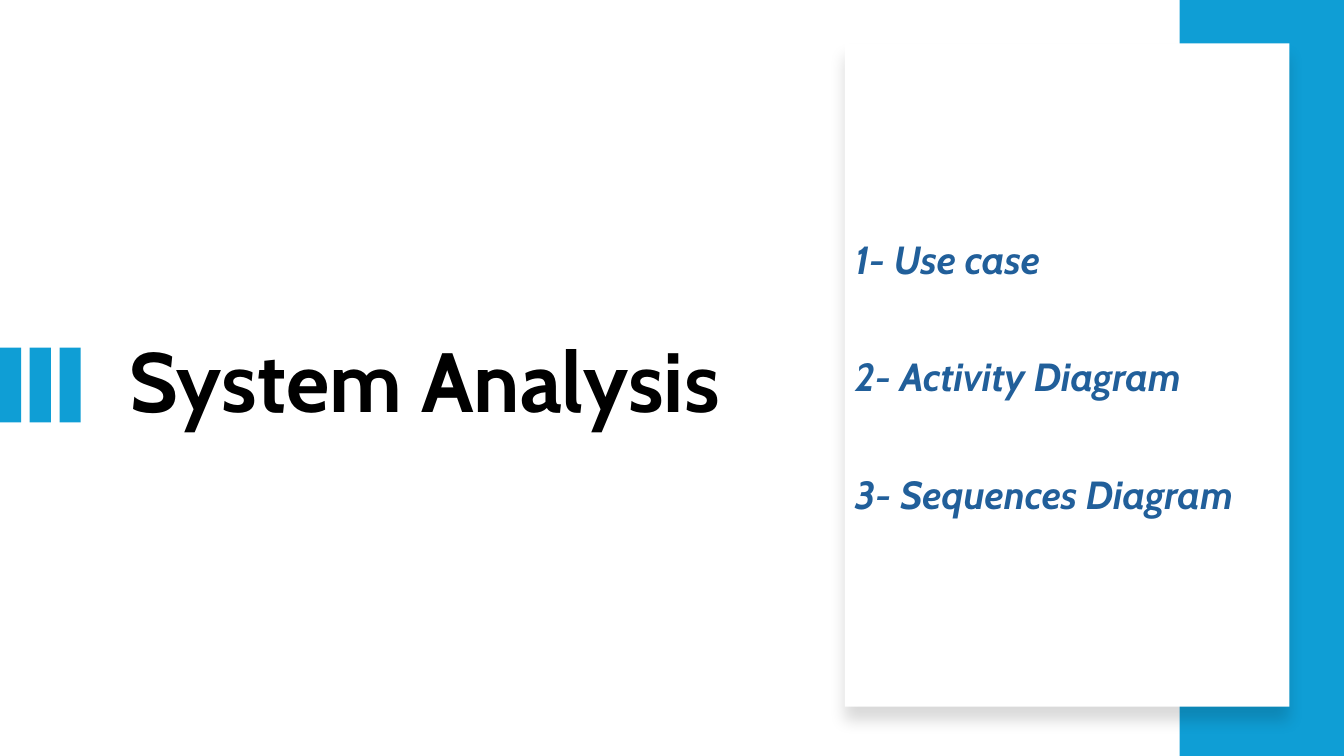
"""Build the System Analysis section slide."""
from lxml.etree import SubElement
from pptx import Presentation
from pptx.dml.color import RGBColor
from pptx.enum.shapes import MSO_SHAPE
from pptx.enum.text import MSO_ANCHOR, PP_ALIGN
from pptx.oxml.ns import qn
from pptx.util import Inches, Pt

TITLE = "System Analysis"
TOPICS = ["1- Use case", "2- Activity Diagram", "3- Sequences Diagram"]

BLUE = RGBColor(0x0F, 0x9E, 0xD5)
NAVY = RGBColor(0x21, 0x5F, 0x9A)
BLACK = RGBColor(0, 0, 0)
WHITE = RGBColor(255, 255, 255)
FONT = "Cabin"

SLIDE_WIDTH, SLIDE_HEIGHT = 13.33, 7.5
STRIPE_COUNT, STRIPE_PITCH = 3, 0.295
STRIPE_TOP, STRIPE_WIDTH, STRIPE_HEIGHT = 3.45, 0.21, 0.74
BAND_WIDTH = 1.63
CARD_LEFT, CARD_TOP, CARD_WIDTH, CARD_HEIGHT = 8.38, 0.43, 4.41, 6.58


def write_text(frame, lines, size, color, spacing, italic=False):
    """Fill a text frame with one bold paragraph per line."""
    frame.word_wrap = True
    frame.vertical_anchor = MSO_ANCHOR.MIDDLE
    for index, line in enumerate(lines):
        paragraph = frame.add_paragraph() if index else frame.paragraphs[0]
        paragraph.alignment = PP_ALIGN.LEFT
        paragraph.line_spacing = spacing
        paragraph.space_before = Pt(0)
        run = paragraph.add_run()
        run.text = line
        run.font.name = FONT
        run.font.size = Pt(size)
        run.font.bold = True
        run.font.italic = italic
        run.font.color.rgb = color


def add_rectangle(slide, left, top, width, height, color):
    """Add a flat rectangle measured in inches."""
    shape = slide.shapes.add_shape(
        MSO_SHAPE.RECTANGLE, Inches(left), Inches(top), Inches(width), Inches(height))
    shape.shadow.inherit = False
    shape.fill.solid()
    shape.fill.fore_color.rgb = color
    shape.line.fill.background()
    return shape


def add_soft_shadow(shape, blur, distance, angle, opacity):
    """Cast a black shadow; lengths in points, angle in degrees, opacity in percent."""
    effects = shape._element.spPr.find(qn("a:effectLst"))
    shadow = SubElement(
        effects, qn("a:outerShdw"), blurRad=str(Pt(blur)), dist=str(Pt(distance)),
        dir=str(angle * 60000), algn="t", rotWithShape="0")
    color = SubElement(shadow, qn("a:srgbClr"), val=str(BLACK))
    SubElement(color, qn("a:alpha"), val=str(opacity * 1000))


def main():
    """Compose and save the slide."""
    presentation = Presentation()
    presentation.slide_width = Inches(SLIDE_WIDTH)
    presentation.slide_height = Inches(SLIDE_HEIGHT)
    slide = presentation.slides.add_slide(presentation.slide_layouts[5])
    slide.background.fill.solid()
    slide.background.fill.fore_color.rgb = WHITE

    title = slide.shapes.title
    title.left, title.top = Inches(1.18), Inches(1.25)
    title.width, title.height = Inches(6.6), Inches(5.15)
    write_text(title.text_frame, [TITLE], size=60, color=BLACK, spacing=0.9)

    for index in range(STRIPE_COUNT):
        add_rectangle(slide, index * STRIPE_PITCH, STRIPE_TOP, STRIPE_WIDTH, STRIPE_HEIGHT, BLUE)
    add_rectangle(slide, SLIDE_WIDTH - BAND_WIDTH, 0, BAND_WIDTH, SLIDE_HEIGHT, BLUE)
    card = add_rectangle(slide, CARD_LEFT, CARD_TOP, CARD_WIDTH, CARD_HEIGHT, WHITE)
    add_soft_shadow(card, blur=11, distance=10, angle=90, opacity=15)

    topics = slide.shapes.add_textbox(Inches(CARD_LEFT), Inches(0.94), Inches(4.36), Inches(4.88))
    write_text(topics.text_frame, TOPICS, size=28, color=NAVY, spacing=2.5, italic=True)

    presentation.save("out.pptx")


if __name__ == "__main__":
    main()
